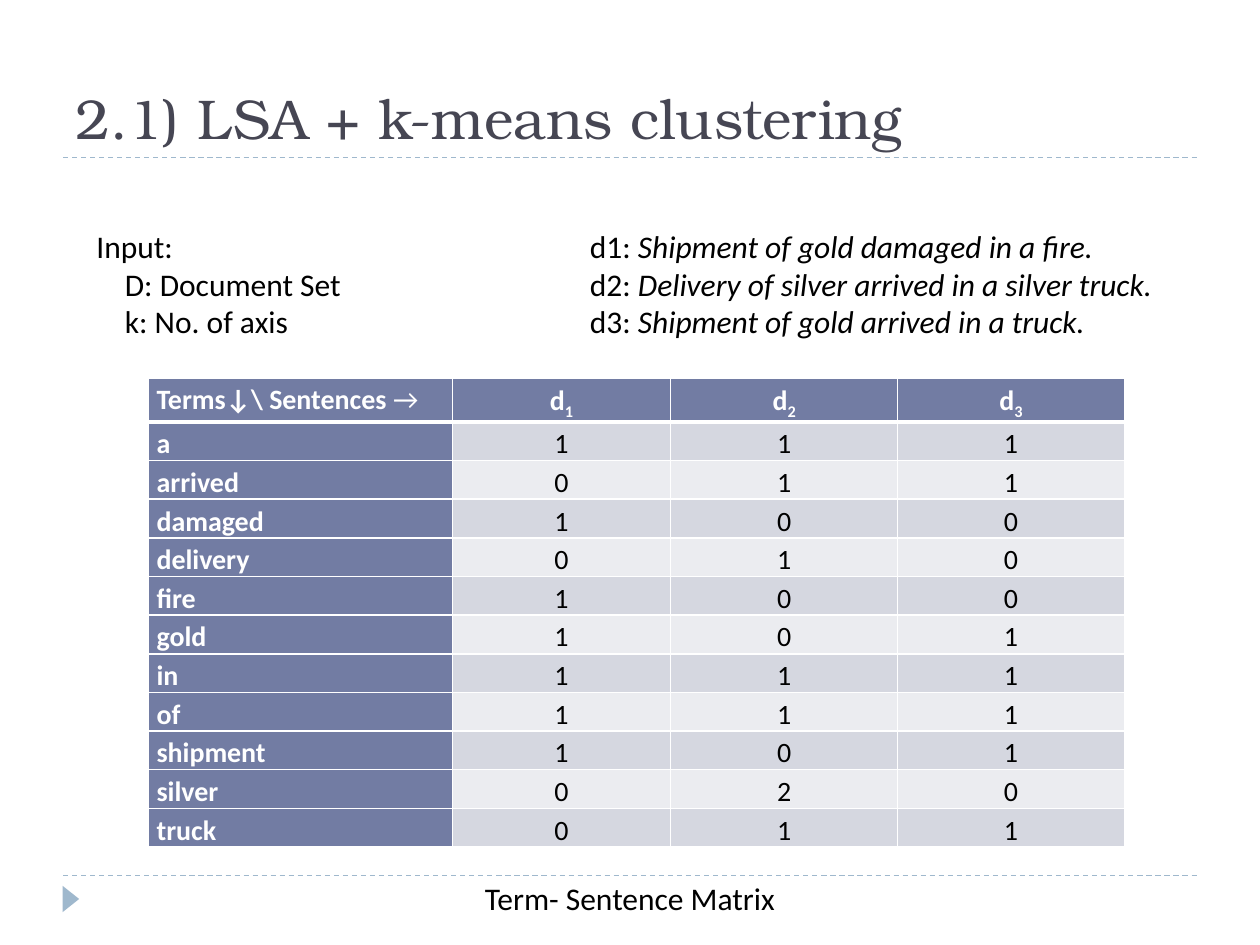
from pptx import Presentation, util as u
from pptx.dml.color import RGBColor
from pptx.enum import dml, shapes, text
from pptx.oxml import parse_xml
from pptx.oxml.ns import nsdecls

Pt = u.Pt
Side = text.PP_ALIGN
HUES = {"ink": "000000", "title": "464653", "rule": "9FB8CD", "head": "727CA3",
        "odd": "D5D7E0", "even": "EBECF0", "white": "FFFFFF"}
BODY = "Calibri"
TERMS = [("a", "111"), ("arrived", "011"), ("damaged", "100"),
         ("delivery", "010"), ("fire", "100"), ("gold", "101"),
         ("in", "111"), ("of", "111"), ("shipment", "101"),
         ("silver", "020"), ("truck", "011")]
DOCS = ["Shipment of gold damaged in a fire.",
        "Delivery of silver arrived in a silver truck.",
        "Shipment of gold arrived in a truck."]


def hue(name):
    return RGBColor.from_string(HUES[name])


def style(para, size, color, face=BODY, bold=False, align=Side.LEFT):
    para.alignment = align
    font = para.font
    font.name, font.size, font.bold = face, Pt(size), bold
    font.color.rgb = hue(color)


def add_title(slide, words):
    title = slide.shapes.title
    title.left, title.top, title.width, title.height = Pt(36), Pt(12), Pt(648), Pt(78)
    frame = title.text_frame
    frame.auto_size = text.MSO_AUTO_SIZE.NONE
    frame.vertical_anchor = text.MSO_ANCHOR.BOTTOM
    frame.text = words
    style(frame.paragraphs[0], 32, "title", "TeX Gyre Bonum")


def add_rule(slide, y):
    line = slide.shapes.add_connector(
        shapes.MSO_CONNECTOR.STRAIGHT, Pt(36), Pt(y), Pt(684), Pt(y))
    line.line.color.rgb = hue("rule")
    line.line.width = Pt(0.75)
    line.line.dash_style = dml.MSO_LINE.DASH
    line._element.spPr.append(parse_xml(f"<a:effectLst {nsdecls('a')}/>"))


def add_mark(slide):
    mark = slide.shapes.add_shape(
        shapes.MSO_SHAPE.ISOSCELES_TRIANGLE, Pt(33), Pt(509), Pt(15), Pt(9.4))
    mark.rotation = 90
    mark.shadow.inherit = False
    mark.fill.solid()
    mark.fill.fore_color.rgb = hue("rule")
    mark.line.fill.background()


def add_text(slide, box, lines, align=Side.LEFT):
    """Each line is (plain words, italic words, left indent)."""
    frame = slide.shapes.add_textbox(*map(Pt, box)).text_frame
    frame.word_wrap = True
    for i, (plain, slant, indent) in enumerate(lines):
        para = frame.add_paragraph() if i else frame.paragraphs[0]
        if indent:
            para._p.get_or_add_pPr().set("marL", str(Pt(indent)))
        style(para, 18, "ink", align=align)
        para.add_run().text = plain
        if slant:
            run = para.add_run()
            run.text = slant
            run.font.italic = True


def set_edges(cell, base):
    props = cell._tc.get_or_add_tcPr()
    for tag, width in (("lnL", 1), ("lnR", 1), ("lnT", 1), ("lnB", base)):
        props.append(parse_xml(
            f'<a:{tag} {nsdecls("a")} w="{Pt(width)}"><a:solidFill>'
            f'<a:srgbClr val="{HUES["white"]}"/></a:solidFill></a:{tag}>'))


def fill_cell(cell, words, row, col):
    head = row == 0 or col == 0
    cell.margin_left = cell.margin_right = Pt(5)
    cell.margin_top = cell.margin_bottom = 0
    set_edges(cell, 1 if row else 3)
    cell.fill.solid()
    cell.fill.fore_color.rgb = hue("head" if head else "odd" if row % 2 else "even")
    para = cell.text_frame.paragraphs[0]
    para.line_spacing = 1.15
    style(para, 16, "white" if head else "ink", bold=head,
          align=Side.CENTER if col else Side.JUSTIFY)
    runs = []
    for word in words:
        run = para.add_run()
        run.text = word
        runs.append(run)
    if row == 0 and col:
        runs[1]._r.get_or_add_rPr().set("baseline", "-25000")
    elif row == 0:
        runs[1].font.bold = False


def add_matrix(slide):
    rows = [[("Terms↓\\ Sentences ", "→")] + [("d", n) for n in "123"]]
    rows += [[(term,)] + [(n,) for n in counts] for term, counts in TERMS]
    table = slide.shapes.add_table(
        len(rows), 4, Pt(84.5), Pt(216), Pt(558), Pt(19.5 * len(rows))).table
    for col, width in zip(table.columns, (174, 124.8, 129.6, 129.6)):
        col.width = Pt(width)
    for r, row in enumerate(rows):
        for c, words in enumerate(row):
            fill_cell(table.cell(r, c), words, r, c)


def main():
    deck = Presentation()
    deck.slide_width, deck.slide_height = Pt(720), Pt(540)
    slide = deck.slides.add_slide(deck.slide_layouts[5])
    # Frame of the slide
    for y in (500.4, 90):
        add_rule(slide, y)
    add_mark(slide)
    add_title(slide, "2.1) LSA + k-means clustering")
    # Documents, matrix and its caption
    add_text(slide, (330, 126, 360, 72.7),
             [(f"d{i}: ", doc, 0) for i, doc in enumerate(DOCS, 1)], Side.JUSTIFY)
    add_matrix(slide)
    add_text(slide, (36, 499, 648, 29), [("Term- Sentence Matrix", "", 0)], Side.CENTER)
    # Input
    add_text(slide, (48, 126, 228, 72.7),
             [("Input:", "", 0), ("D: Document Set", "", 16.3),
              ("k: No. of axis", "", 16.3)])
    deck.save("out.pptx")


if __name__ == "__main__":
    main()
